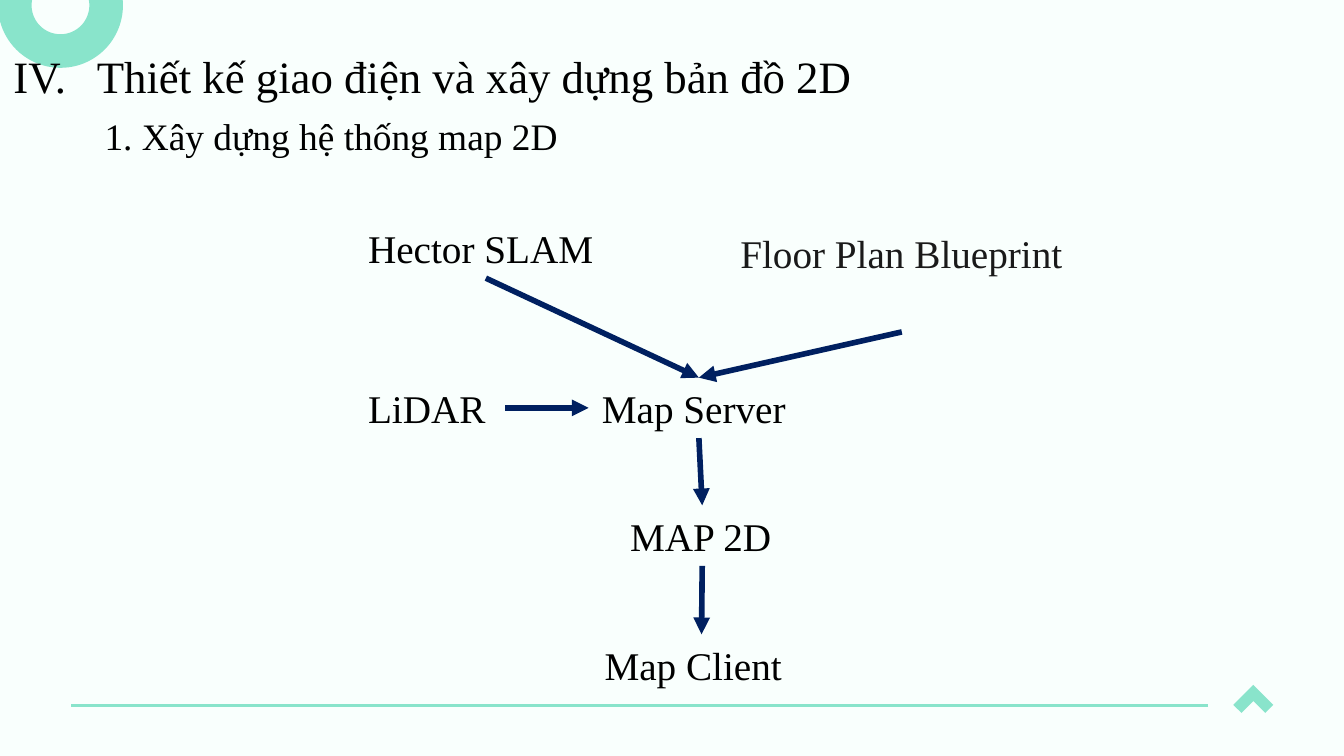
from lxml import etree
from pptx import Presentation
from pptx import util as u
from pptx.dml.color import RGBColor
from pptx.enum import shapes, text
from pptx.oxml import ns

MINT, NAVY, BLACK = "89E4CB", "002060", "000000"


def rgb(code):
    return RGBColor.from_string(code)


def write(shape, words, size, color=BLACK):
    frame = shape.text_frame
    frame.word_wrap = True
    frame.auto_size = text.MSO_AUTO_SIZE.SHAPE_TO_FIT_TEXT
    frame.vertical_anchor = text.MSO_ANCHOR.TOP
    para = frame.paragraphs[0]
    para.alignment = text.PP_ALIGN.LEFT
    run = para.add_run()
    run.text = words
    run.font.name = "Times New Roman"
    run.font.size = u.Pt(size)
    run.font.color.rgb = rgb(color)
    return para


# Widescreen slide, 16:9
prs = Presentation()
prs.slide_width = u.Inches(10)
prs.slide_height = u.Inches(10 * 9 / 16)
slide = prs.slides.add_slide(prs.slide_layouts[5])
slide.background.fill.solid()
slide.background.fill.fore_color.rgb = rgb("F9FFFD")
items = slide.shapes

# Corner ring
ring = items.add_shape(shapes.MSO_SHAPE.OVAL, u.Inches(0.11), u.Inches(-0.3),
                       u.Inches(0.68), u.Inches(0.68))
ring.shadow.inherit = False
ring.fill.background()
ring.line.color.rgb = rgb(MINT)
ring.line.width = u.Pt(18)

# Footer chevron
mark = items.add_shape(shapes.MSO_SHAPE.CORNER, u.Inches(9.22), u.Inches(5.14),
                       u.Inches(0.21), u.Inches(0.21))
mark.shadow.inherit = False
mark.rotation = 135
mark.adjustments[0], mark.adjustments[1] = 0.4, 0.4
mark.fill.solid()
mark.fill.fore_color.rgb = rgb(MINT)
mark.line.fill.background()

# Numbered title, in front of the ring
title = items.title
title.left, title.top = u.Inches(0), u.Inches(0.31)
title.width, title.height = u.Inches(8.87), u.Inches(0.5)
ring.element.getparent().append(title.element)
para = write(title, "Thiết kế giao điện và xây dựng bản đồ 2D", 24)
props = para._p.get_or_add_pPr()
props.set("marL", str(u.Inches(0.62)))
props.set("indent", str(u.Inches(-0.62)))
tint = etree.SubElement(props, ns.qn("a:buClr"))
etree.SubElement(tint, ns.qn("a:srgbClr"), val=BLACK)
etree.SubElement(props, ns.qn("a:buFont"), typeface="+mj-lt")
etree.SubElement(props, ns.qn("a:buAutoNum"), type="romanUcPeriod", startAt="4")

# Subtitle
sub = items.add_textbox(u.Inches(0.68), u.Inches(0.79), u.Inches(5.04), u.Inches(0.44))
write(sub, "1. Xây dựng hệ thống map 2D", 20)

# Diagram labels: left, top, width, height, colour
labels = {
    "Hector SLAM": (2.64, 1.62, 1.95, 0.45, BLACK),
    "Floor Plan Blueprint": (5.41, 1.66, 2.6, 0.81, "1A1A1A"),
    "LiDAR": (2.64, 2.81, 1.12, 0.45, BLACK),
    "Map Server": (4.38, 2.81, 1.64, 0.45, BLACK),
    "MAP 2D": (4.59, 3.76, 1.27, 0.45, BLACK),
    "Map Client": (4.4, 4.72, 1.64, 0.45, BLACK),
}
boxes = {}
for name, (*place, color) in labels.items():
    boxes[name] = items.add_textbox(*map(u.Inches, place))
    write(boxes[name], name, 21, color)

# Arrows between labels: source, side, target, side
top, left, bottom, right = range(4)
links = [
    ("LiDAR", right, "Map Server", left),
    ("Hector SLAM", bottom, "Map Server", top),
    ("Floor Plan Blueprint", bottom, "Map Server", top),
    ("Map Server", bottom, "MAP 2D", top),
    ("MAP 2D", bottom, "Map Client", top),
]
lines = []
for start, out, end, into in links:
    link = items.add_connector(shapes.MSO_CONNECTOR.STRAIGHT, 0, 0, 0, 0)
    link.begin_connect(boxes[start], out)
    link.end_connect(boxes[end], into)
    lines.append((link, NAVY, 3))

# Footer rule
rule = items.add_connector(shapes.MSO_CONNECTOR.STRAIGHT, u.Inches(8.99), u.Inches(5.25),
                           u.Inches(0.53), u.Inches(5.25))
lines.append((rule, MINT, 1.5))

# Line styling
for line, color, width in lines:
    line.line.color.rgb = rgb(color)
    line.line.width = u.Pt(width)
    props = line.element.spPr
    if line is not rule:
        etree.SubElement(props.find(ns.qn("a:ln")), ns.qn("a:tailEnd"), type="triangle")
    etree.SubElement(props, ns.qn("a:effectLst"))

prs.save("out.pptx")
